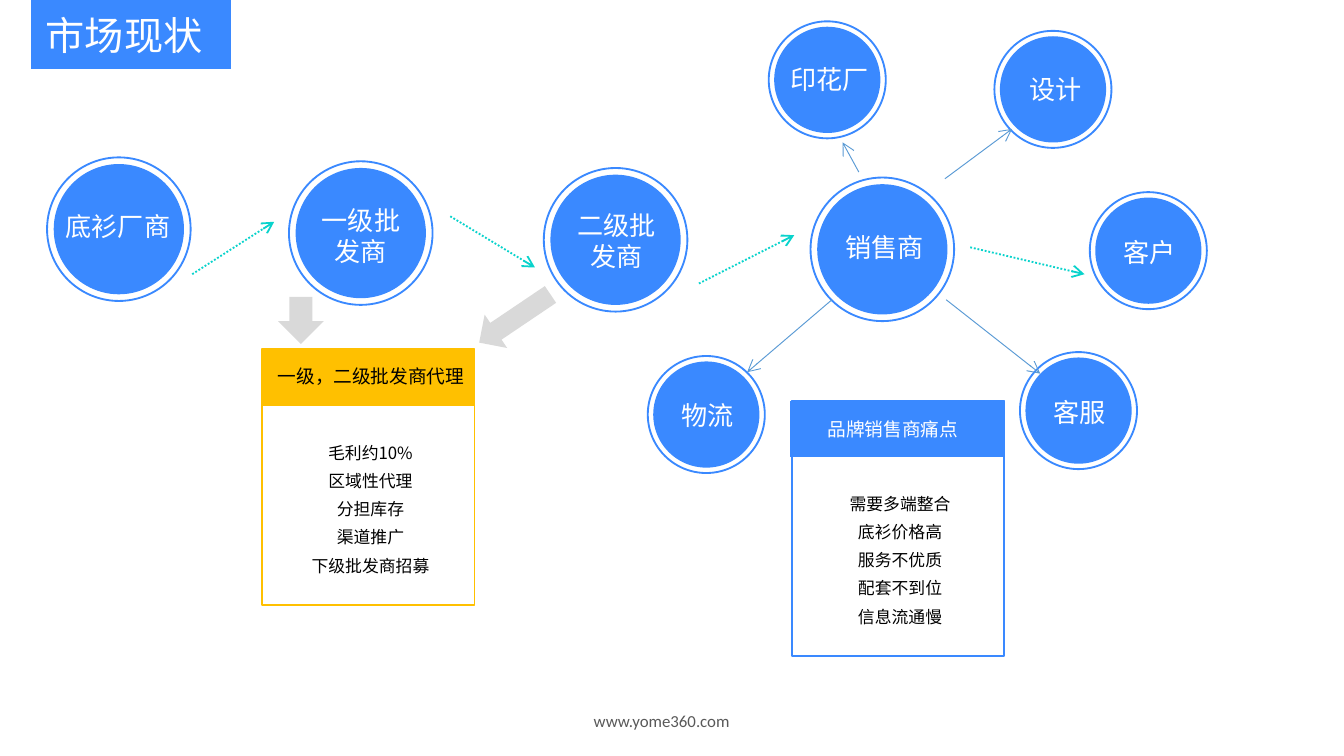
from dataclasses import dataclass

from lxml.etree import SubElement
from pptx import Presentation
from pptx.dml.color import RGBColor
from pptx.enum.dml import MSO_LINE
from pptx.enum.shapes import MSO_CONNECTOR, MSO_SHAPE
from pptx.enum.text import MSO_ANCHOR, MSO_AUTO_SIZE, PP_ALIGN
from pptx.oxml.ns import qn
from pptx.util import Pt

BLUE = RGBColor(0x3A, 0x89, 0xFF)
AMBER = RGBColor(0xFF, 0xC0, 0x00)
TEAL = RGBColor(0x09, 0xD3, 0xCC)
STEEL = RGBColor(0x5B, 0x9B, 0xD5)
LIGHT_GRAY = RGBColor(0xD9, 0xD9, 0xD9)
DARK_GRAY = RGBColor(0x59, 0x59, 0x59)
WHITE = RGBColor(0xFF, 0xFF, 0xFF)
BLACK = RGBColor(0x00, 0x00, 0x00)
CHINESE_FONT = "Noto Sans CJK SC"
LARGE = 69.8
SMALL = 56.9


@dataclass(frozen=True)
class Node:
    label: str
    center_x: float
    center_y: float
    diameter: float
    label_left: float
    label_top: float
    label_width: float


@dataclass(frozen=True)
class Arrow:
    start: tuple[float, float]
    end: tuple[float, float]


@dataclass(frozen=True)
class Card:
    heading: str
    items: tuple[str, ...]
    left: float
    top: float
    color: RGBColor
    heading_color: RGBColor
    heading_left: float
    heading_top: float
    heading_width: float
    list_height: float


NODES = (
    Node("底衫厂商", 63.7, 122.8, LARGE, 28.1, 109.4, 75),
    Node("一级批\n发商", 193.3, 124.9, LARGE, 164.9, 105.8, 57),
    Node("二级批\n发商", 329.8, 128.5, LARGE, 301.7, 108.7, 57),
    Node("销售商", 472.7, 133.6, LARGE, 445.7, 120.2, 75),
    Node("客户", 615.2, 134.3, SMALL, 594.7, 123.1, 43.2),
    Node("客服", 577.8, 220, SMALL, 557.3, 208.8, 43.2),
    Node("设计", 564.1, 47.9, SMALL, 544.3, 36, 43.2),
    Node("印花厂", 443.2, 42.8, SMALL, 416.2, 30.2, 58.3),
    Node("物流", 378.4, 222.1, SMALL, 357.8, 210.2, 43.2),
)
SUPPLY_ARROWS = (
    Arrow((103, 146.9), (146.9, 118.8)),
    Arrow((241.2, 115.9), (286.6, 143.3)),
    Arrow((374.4, 151.9), (425.5, 126)),
    Arrow((519.8, 132.5), (581, 146.9)),
)
SERVICE_ARROWS = (
    Arrow((506.2, 95.8), (542.2, 69.1)),
    Arrow((460.1, 92.2), (451.4, 76.3)),
    Arrow((506.9, 160.6), (557.3, 200.2)),
    Arrow((445.7, 160.6), (400.3, 199.4)),
)
CARDS = (
    Card("一级，二级批发商代理",
         ("毛利约10%", "区域性代理", "分担库存", "渠道推广", "下级批发商招募"),
         139.7, 187.2, AMBER, BLACK, 141.8, 192.2, 115.4, 93.6),
    Card("品牌销售商痛点",
         ("需要多端整合", "底衫价格高", "服务不优质", "配套不到位", "信息流通慢"),
         423.4, 214.6, BLUE, WHITE, 436.3, 220.3, 95.8, 108.7),
)


def place(shape, left: float, top: float, width: float, height: float) -> None:
    shape.left, shape.top = Pt(left), Pt(top)
    shape.width, shape.height = Pt(width), Pt(height)


def write_text(box, text: str, *, size: float, color: RGBColor,
               font: str = CHINESE_FONT, align=PP_ALIGN.LEFT,
               line_spacing: float = 1.0) -> None:
    frame = box.text_frame
    frame.word_wrap = True
    frame.auto_size = MSO_AUTO_SIZE.SHAPE_TO_FIT_TEXT
    frame.vertical_anchor = MSO_ANCHOR.TOP
    frame.margin_left = frame.margin_right = Pt(7.2)
    frame.margin_top = frame.margin_bottom = Pt(3.6)
    for index, line in enumerate(text.split("\n")):
        para = frame.add_paragraph() if index else frame.paragraphs[0]
        properties = para._p.get_or_add_pPr()
        properties.set("marL", "0")
        properties.set("indent", "0")
        SubElement(properties, qn("a:buNone"))
        para.alignment = align
        para.line_spacing = line_spacing
        para.space_before = Pt(0)
        span = para.add_run()
        span.text = line
        span.font.size = Pt(size)
        span.font.color.rgb = color
        span.font.name = font
        east_asian = SubElement(span._r.get_or_add_rPr(), qn("a:ea"))
        east_asian.set("typeface", font)


def add_text(page, text: str, left: float, top: float, width: float,
             height: float, **text_format) -> None:
    box = page.shapes.add_textbox(Pt(left), Pt(top), Pt(width), Pt(height))
    write_text(box, text, **text_format)


def add_block(page, kind, left: float, top: float, width: float, height: float,
              *, fill: RGBColor | None = None, line: RGBColor | None = None):
    shape = page.shapes.add_shape(kind, Pt(left), Pt(top), Pt(width), Pt(height))
    shape.shadow.inherit = False
    if fill is None:
        shape.fill.background()
    else:
        shape.fill.solid()
        shape.fill.fore_color.rgb = fill
    if line is None:
        shape.line.fill.background()
    else:
        shape.line.color.rgb = line
        shape.line.width = Pt(1)
    return shape


def add_node(page, node: Node) -> None:
    ring = node.diameter * 1.102
    for diameter, colors in ((node.diameter, {"fill": BLUE}), (ring, {"line": BLUE})):
        add_block(page, MSO_SHAPE.OVAL, node.center_x - diameter / 2,
                  node.center_y - diameter / 2, diameter, diameter, **colors)
    two_lines = "\n" in node.label
    add_text(page, node.label, node.label_left, node.label_top, node.label_width,
             41 if two_lines else 24.5, size=14, color=WHITE,
             align=PP_ALIGN.CENTER if two_lines else PP_ALIGN.LEFT)


def add_arrow(page, arrow: Arrow, *, color: RGBColor, width: float, dash=None) -> None:
    start, end = map(Pt, arrow.start), map(Pt, arrow.end)
    connector = page.shapes.add_connector(MSO_CONNECTOR.STRAIGHT, *start, *end)
    connector.line.color.rgb = color
    connector.line.width = Pt(width)
    if dash is not None:
        connector.line.dash_style = dash
    SubElement(connector.line._get_or_add_ln(), qn("a:tailEnd")).set("type", "arrow")
    SubElement(connector._element.spPr, qn("a:effectLst"))


def add_card(page, card: Card, body) -> None:
    add_block(page, MSO_SHAPE.RECTANGLE, card.left + 0.7, card.top, 113.8, 136.8,
              line=card.color)
    add_block(page, MSO_SHAPE.FLOWCHART_PROCESS, card.left, card.top, 114.5, 30.2,
              fill=card.color)
    add_text(page, card.heading, card.heading_left, card.heading_top,
             card.heading_width, 19.4, size=10, color=card.heading_color)
    place(body, card.left + 17, card.top + 41.8, 83.5, card.list_height)
    write_text(body, "\n".join(card.items), size=9, color=BLACK,
               align=PP_ALIGN.CENTER, line_spacing=1.4)
    bring_to_front(body)


def bring_to_front(shape) -> None:
    shape.element.getparent().append(shape.element)


def main() -> None:
    deck = Presentation()
    deck.slide_width, deck.slide_height = Pt(720), Pt(405)
    page = deck.slides.add_slide(deck.slide_layouts[3])
    title, *bodies = page.placeholders

    add_block(page, MSO_SHAPE.FLOWCHART_PROCESS, 16.6, 0, 107.3, 36.7, fill=BLUE)
    place(title, 17.3, 2.2, 99, 32.4)
    write_text(title, "市场现状", size=21, color=WHITE)
    bring_to_front(title)

    for node in NODES:
        add_node(page, node)
    for arrow in SUPPLY_ARROWS:
        add_arrow(page, arrow, color=TEAL, width=1, dash=MSO_LINE.ROUND_DOT)
    for arrow in SERVICE_ARROWS:
        add_arrow(page, arrow, color=STEEL, width=0.5)
    for card, body in zip(CARDS, bodies):
        add_card(page, card, body)

    add_block(page, MSO_SHAPE.DOWN_ARROW, 149, 159.1, 24.5, 25.2, fill=LIGHT_GRAY)
    slanted = add_block(page, MSO_SHAPE.DOWN_ARROW, 265, 147.6, 21.6, 46.1,
                        fill=LIGHT_GRAY)
    slanted.rotation = 56
    add_text(page, "www.yome360.com", 311, 377.3, 96.5, 18, size=9,
             color=DARK_GRAY, font="Calibri")
    deck.save("out.pptx")


if __name__ == "__main__":
    main()
